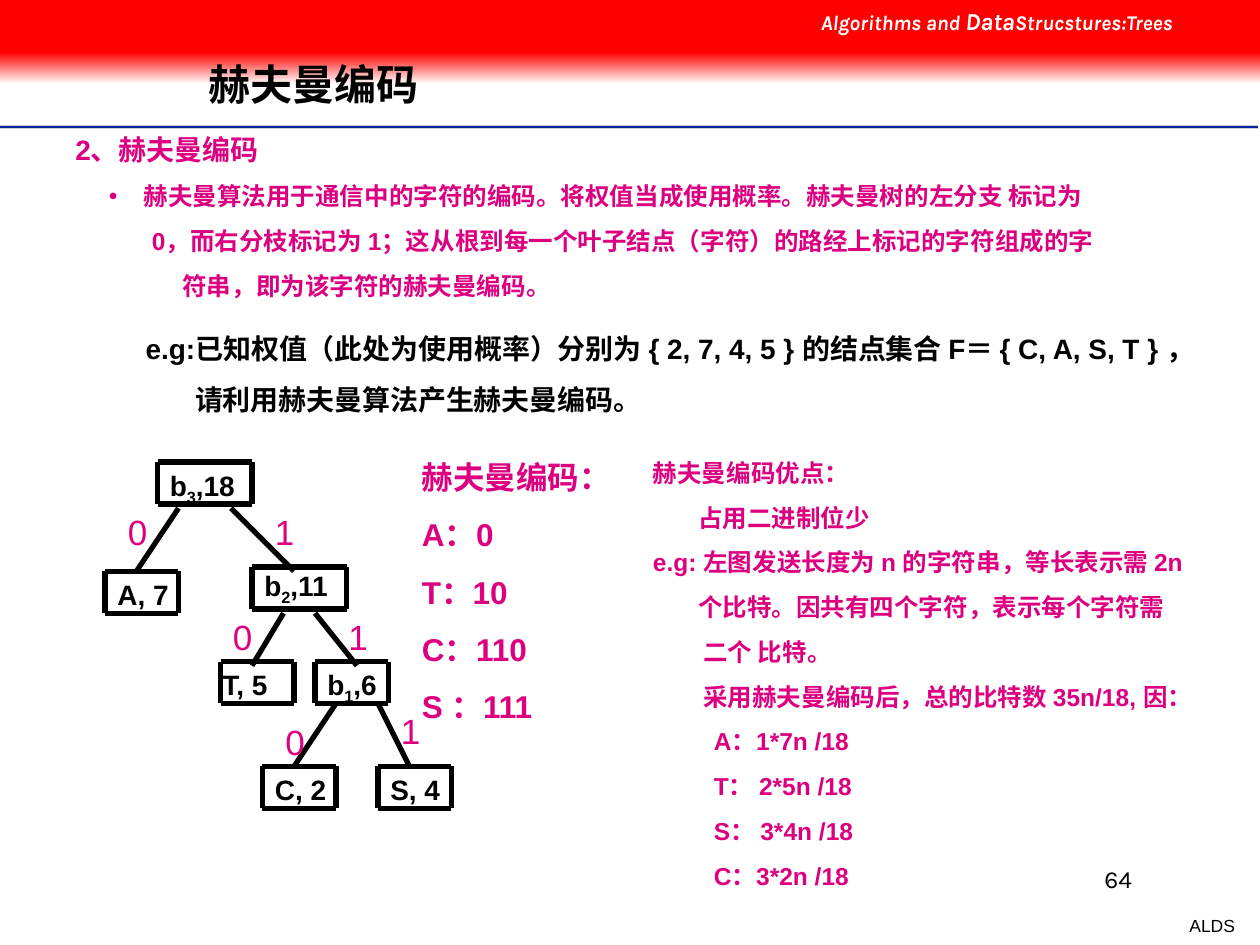
from lxml import etree
from pptx import Presentation
from pptx.dml.color import RGBColor
from pptx.enum.shapes import MSO_CONNECTOR, MSO_SHAPE
from pptx.enum.text import MSO_ANCHOR, MSO_AUTO_SIZE, PP_ALIGN
from pptx.oxml.ns import qn
from pptx.util import Pt

RECT, STRAIGHT = MSO_SHAPE.RECTANGLE, MSO_CONNECTOR.STRAIGHT
MIDDLE = MSO_ANCHOR.MIDDLE
LEFT, RIGHT = PP_ALIGN.LEFT, PP_ALIGN.RIGHT
NO_FIT = MSO_AUTO_SIZE.NONE

RED = RGBColor(0xFF, 0x00, 0x00)
WHITE = RGBColor(0xFF, 0xFF, 0xFF)
BLACK = RGBColor(0x00, 0x00, 0x00)
PINK = RGBColor(0xDC, 0x00, 0x81)
NAVY = RGBColor(0x00, 0x27, 0x9F)
GREY = RGBColor(0xCE, 0xCE, 0xCE)

PX = 7620  # EMU per px, 120 px to the inch

# Content: text blocks are (box, colour, space before, [(indent, size, text)])
TITLE = "赫夫曼编码"
HEADER = [("Algorithms and ", 12), ("Data", 14), ("Strucstures:Trees", 12)]
RULES = [(121, GREY, 2), (121, NAVY, 1), (124, WHITE, 1)]
BULLET_AT = 1  # paragraph of the first block that carries a bullet
BLOCKS = [
    ((0, 120, 1090, 172), PINK, 8.8, [
        (60, 16, "2、赫夫曼编码"),
        (125, 14, "赫夫曼算法用于通信中的字符的编码。将权值当成使用概率。赫夫曼树的左分支 标记为"),
        (133, 14, "0，而右分枝标记为 1；这从根到每一个叶子结点（字符）的路经上标记的字符组成的字"),
        (162, 14, "符串，即为该字符的赫夫曼编码。")]),
    ((0, 310, 1200, 92), BLACK, 10, [
        (127, 16, "e.g:已知权值（此处为使用概率）分别为 { 2, 7, 4, 5 } 的结点集合 F＝ { C, A, S, T } ，"),
        (174, 16, "请利用赫夫曼算法产生赫夫曼编码。")]),
    ((390, 430, 250, 268), PINK, 11.2, [
        (0, 18, line) for line in
        ("赫夫曼编码：", "A：0", "T：10", "C：110", "S ：111")]),
    ((610, 430, 570, 467), PINK, 8.8, [
        (0, 14, "赫夫曼编码优点："),
        (43, 14, "占用二进制位少"),
        (0, 14, "e.g: 左图发送长度为 n 的字符串，等长表示需 2n"),
        (43, 14, "个比特。因共有四个字符，表示每个字符需"),
        (48, 14, "二个 比特。"),
        (48, 14, "采用赫夫曼编码后，总的比特数 35n/18, 因："),
        (58, 14, "A：1*7n /18"),
        (58, 14, "T： 2*5n /18"),
        (58, 14, "S： 3*4n /18"),
        (58, 14, "C：3*2n /18")]),
]

# Tree: nodes are (x, y, width, label shift x, y, text, subscript, rest)
NODE_H = 40
NODES = [
    (150, 440, 90, 0, 0, "b", "3", ",18"),
    (240, 540, 90, 0, -4, "b", "2", ",11"),
    (100, 544, 70, 0, 0, "A, 7", "", ""),
    (210, 630, 70, -10, 0, "T, 5", "", ""),
    (300, 630, 70, 0, 0, "b", "1", ",6"),
    (250, 730, 70, 0, 0, "C, 2", "", ""),
    (360, 730, 70, 0, 0, "S, 4", "", ""),
]
# Branches are (from, to, bit, top left of the bit)
BRANCHES = [
    ((170, 484), (130, 544), "0", (110, 480)),
    ((220, 484), (280, 544), "1", (250, 480)),
    ((270, 584), (240, 634), "0", (210, 580)),
    ((300, 584), (340, 634), "1", (320, 580)),
    ((320, 670), (280, 730), "0", (260, 680)),
    ((360, 670), (390, 730), "1", (370, 670)),
]

prs = Presentation()
prs.slide_width, prs.slide_height = 1200 * PX, 900 * PX
s = prs.slides.add_slide(prs.slide_layouts[5])


def emu(values):
    return [v * PX for v in values]


def add_run(p, text, size, color, bold=False, font="Arial"):
    r = p.add_run()
    r.text = text
    r.font.size, r.font.name, r.font.bold = Pt(size), font, bold
    r.font.color.rgb = color
    return r


def add_line(start, end, color, width):
    line = s.shapes.add_connector(STRAIGHT, *emu(start + end))
    line.line.color.rgb, line.line.width = color, Pt(width)
    etree.SubElement(line._element.spPr, qn("a:effectLst"))


def add_rect(x, y, w, h):
    sp = s.shapes.add_shape(RECT, *emu((x, y, w, h)))
    sp.shadow.inherit = False
    sp.line.fill.background()
    return sp


def add_text(box, align=LEFT, wrap=True):
    tf = s.shapes.add_textbox(*emu(box)).text_frame
    tf.word_wrap = wrap
    tf.paragraphs[0].alignment = align
    return tf


# Master rules, corner texts and red band
for y, color, width in RULES:
    add_line((0, y), (1198, y), color, width)
add_run(add_text((1121, 866, 67, 32), RIGHT, False).paragraphs[0], "ALDS", 10, BLACK)
add_run(add_text((860, 817, 230, 60), RIGHT).paragraphs[0], "64", 14, BLACK, font="Karla")

fade = add_rect(0, 50, 1200, 30)
fade.fill.gradient()
fade.fill.gradient_angle = 270
for stop, position, color in zip(fade.fill.gradient_stops, (0, 1), (RED, WHITE)):
    stop.position, stop.color.rgb = position, color
band = add_rect(0, 0, 1200, 50)
band.fill.solid()
band.fill.fore_color.rgb = RED

p = add_text((770, 0, 430, 41)).paragraphs[0]
p.space_before = Pt(7.5)
for text, size in HEADER:
    add_run(p, text, size, WHITE, True, "Karla").font.italic = True

# Title, raised in front of the band
title = s.shapes.title
band._element.getparent().append(title._element)
title.left, title.top, title.width, title.height = emu((187, 38, 906, 89))
tf = title.text_frame
tf.auto_size, tf.vertical_anchor = NO_FIT, MIDDLE
p = tf.paragraphs[0]
p.alignment, p.line_spacing = LEFT, 0.9
add_run(p, TITLE, 24, BLACK, True)

# Text blocks
frames = []
for box, color, before, lines in BLOCKS:
    tf = add_text(box)
    frames.append(tf)
    for i, (indent, size, text) in enumerate(lines):
        p = tf.add_paragraph() if i else tf.paragraphs[0]
        p.space_before = Pt(before)
        p._p.get_or_add_pPr().set("marL", str(indent * PX))
        add_run(p, text, size, color, True)

pPr = frames[0].paragraphs[BULLET_AT]._p.get_or_add_pPr()
pPr.set("indent", str(-33 * PX))
etree.SubElement(pPr, qn("a:buFont")).set("typeface", "Arial")
etree.SubElement(pPr, qn("a:buChar")).set("char", "•")

# Tree nodes: four sides and a label
for x, y, w, dx, dy, text, sub, rest in NODES:
    corners = [(x, y), (x + w, y), (x + w, y + NODE_H), (x, y + NODE_H)]
    for start, end in zip(corners, corners[1:] + corners[:1]):
        add_line(start, end, BLACK, 3)
    p = add_text((x + dx, y + dy, 100, 49 if sub else 44)).paragraphs[0]
    p.space_before = Pt(10)
    add_run(p, text, 16, BLACK, True)
    if sub:
        r = add_run(p, sub, 16, BLACK, True)
        r.font._element.set("baseline", "-25000")
        add_run(p, rest, 16, BLACK, True)

# Tree branches and their bits
for start, end, bit, (x, y) in BRANCHES:
    add_line(start, end, BLACK, 3)
    add_run(add_text((x, y, 40, 53), RIGHT).paragraphs[0], bit, 20, PINK)

prs.save("out.pptx")
